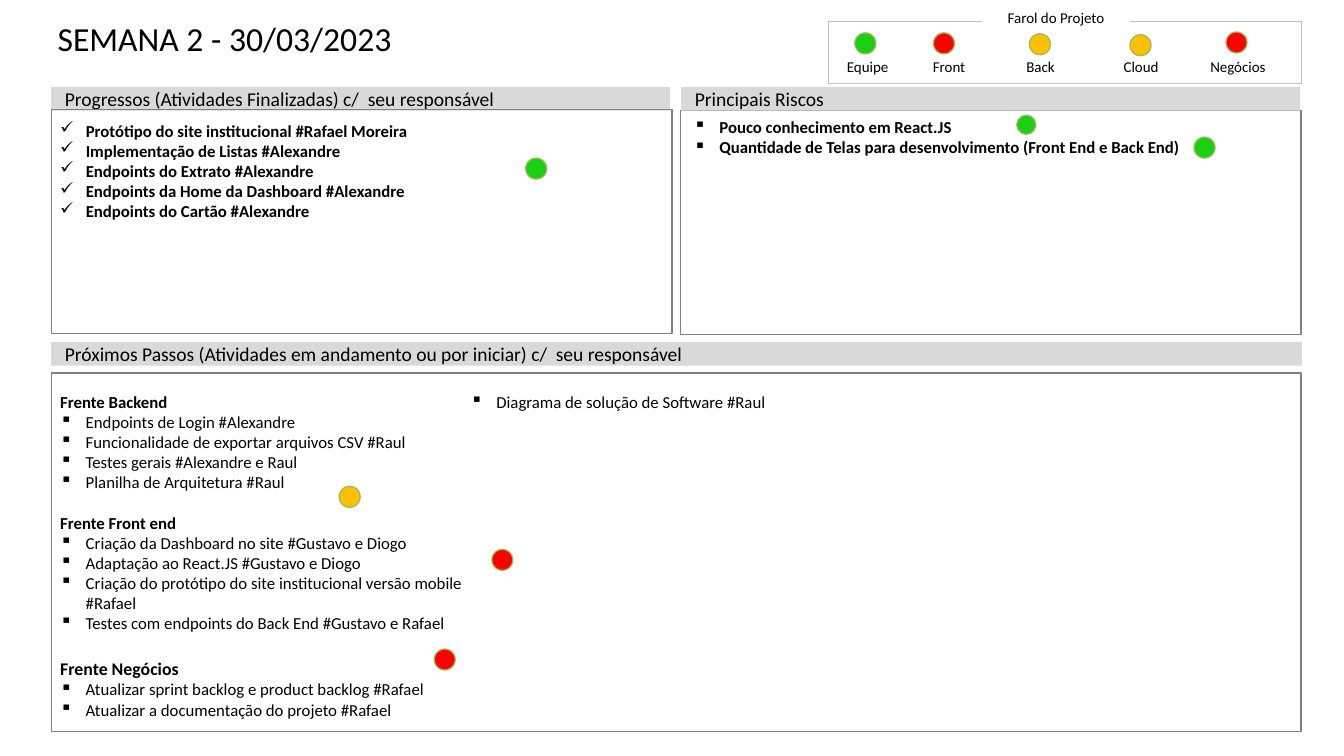
import dataclasses

import lxml.etree
import pptx
import pptx.dml.color
import pptx.enum.shapes
import pptx.enum.text
import pptx.oxml.ns
import pptx.util

Inches, Pt = pptx.util.Inches, pptx.util.Pt
ANCHOR = pptx.enum.text.MSO_ANCHOR
ALIGN = pptx.enum.text.PP_ALIGN
SHAPE = pptx.enum.shapes.MSO_SHAPE
qn = pptx.oxml.ns.qn


@dataclasses.dataclass(frozen=True)
class Theme:
    """Colours, font and type sizes of the report."""
    font: str = "Calibri"
    text: str = "000000"
    white: str = "FFFFFF"
    bar: str = "D9D9D9"
    frame: str = "808080"
    legend: str = "BFBFBF"
    dot_line: str = "9BBB59"
    green: str = "1BCF13"
    amber: str = "FFC000"
    red: str = "FF0000"
    title_size: float = 26.5
    bar_size: float = 15.4
    group_size: float = 14
    body_size: float = 13.2
    label_size: float = 11.8


@dataclasses.dataclass
class Item:
    """One paragraph of a list."""
    text: str
    bullet: str = ""
    bold: bool = False
    size: float = Theme.body_size
    before: float = 0


def rgb(code):
    """Turn a hex code into a colour."""
    return pptx.dml.color.RGBColor.from_string(code)


class Report:
    """Draws the elements of a status report on one slide."""

    def __init__(self, s, theme):
        self.s, self.theme = s, theme

    def set_text(self, sp, items, insets, anchor=ANCHOR.TOP, align=ALIGN.LEFT, wrap=True):
        """Fill a shape with formatted paragraphs."""
        tf = sp.text_frame
        tf.auto_size = pptx.enum.text.MSO_AUTO_SIZE.NONE
        tf.word_wrap, tf.vertical_anchor = wrap, anchor
        tf.margin_left, tf.margin_top, tf.margin_right, tf.margin_bottom = map(Inches, insets)
        tf.text = "\n".join(item.text for item in items)
        for p, item in zip(tf.paragraphs, items):
            p.alignment, p.space_before = align, Pt(item.before)
            font = p.runs[0].font
            font.name, font.size, font.bold = self.theme.font, Pt(item.size), item.bold
            font.color.rgb = rgb(self.theme.text)
            if item.bullet:
                pPr = p._p.get_or_add_pPr()
                pPr.set("marL", str(Inches(0.28)))
                pPr.set("indent", str(-Inches(0.28)))
                lxml.etree.SubElement(pPr, qn("a:buChar")).set("char", item.bullet)

    def title(self, text, box):
        """Place and format the title placeholder."""
        sp = self.s.shapes.title
        sp.left, sp.top, sp.width, sp.height = map(Inches, box)
        self.set_text(sp, [Item(text, size=self.theme.title_size)], (0.12, 0, 0.12, 0))

    def shape(self, box, fill=None, line=None, width=1, kind=SHAPE.RECTANGLE):
        """Add a preset shape with the given fill and outline."""
        sp = self.s.shapes.add_shape(kind, *map(Inches, box))
        sp.shadow.inherit = False
        if fill:
            sp.fill.solid()
            sp.fill.fore_color.rgb = rgb(fill)
        else:
            sp.fill.background()
        if line:
            sp.line.color.rgb = rgb(line)
            sp.line.width = Pt(width)
        else:
            sp.line.fill.background()
        return sp

    def dot(self, left, top, color, size=0.23):
        """Add a status light."""
        self.shape((left, top, size, size), color, self.theme.dot_line, kind=SHAPE.OVAL)

    def bar(self, text, left, top, width):
        """Add a grey section heading."""
        sp = self.shape((left, top, width, 0.26), self.theme.bar)
        self.set_text(sp, [Item(text, size=self.theme.bar_size)],
                      (0.15, 0.07, 0.15, 0.07), ANCHOR.MIDDLE)

    def panel(self, box, items=(), anchor=ANCHOR.TOP, columns=1):
        """Add a framed area, with its list if there is one."""
        sp = self.shape(box, line=self.theme.frame)
        if items:
            self.set_text(sp, items, (0.1, 0.12, 0.1, 0.05), anchor)
        if columns > 1:
            sp.text_frame._txBody.bodyPr.set("numCol", str(columns))

    def text(self, items, box):
        """Add a free text box holding a list."""
        sp = self.s.shapes.add_textbox(*map(Inches, box))
        self.set_text(sp, items, (0.1, 0.05, 0.1, 0.05))

    def label(self, text, box, fill=None):
        """Add a small centred caption, on a plate if a fill is given."""
        sp = self.shape(box, fill) if fill else self.s.shapes.add_textbox(*map(Inches, box))
        self.set_text(sp, [Item(text, size=self.theme.label_size)],
                      (0.06, 0.06, 0.06, 0), ANCHOR.BOTTOM, ALIGN.CENTER, False)


theme = Theme()
CHECK, SQUARE = "✓", "▪"
LEFT, RIGHT = 0.56, 7.45

DONE = ["Protótipo do site institucional #Rafael Moreira", "Implementação de Listas #Alexandre",
        "Endpoints do Extrato #Alexandre", "Endpoints da Home da Dashboard #Alexandre",
        "Endpoints do Cartão #Alexandre"]
RISKS = ["Pouco conhecimento em React.JS",
         "Quantidade de Telas para desenvolvimento (Front End e Back End)"]
# Heading, its size, the gap above it in points, and its tasks
FRONTS = [
    ("Frente Backend", theme.body_size, 0,
     ["Endpoints de Login #Alexandre", "Funcionalidade de exportar arquivos CSV #Raul",
      "Testes gerais #Alexandre e Raul", "Planilha de Arquitetura #Raul"]),
    ("Frente Front end", theme.body_size, 16.1,
     ["Criação da Dashboard no site #Gustavo e Diogo", "Adaptação ao React.JS #Gustavo e Diogo",
      "Criação do protótipo do site institucional versão mobile #Rafael",
      "Testes com endpoints do Back End #Gustavo e Rafael"]),
    ("Frente Negócios", theme.group_size, 19.5,
     ["Atualizar sprint backlog e product backlog #Rafael",
      "Atualizar a documentação do projeto #Rafael", "Diagrama de solução de Software #Raul"]),
]
# Caption, its left edge, then the light's position and colour
LIGHTS = [("Equipe", 9, 9.35, 0.36, theme.green), ("Front", 9.89, 10.21, 0.36, theme.red),
          ("Back", 10.89, 11.26, 0.37, theme.amber), ("Cloud", 11.99, 12.36, 0.38, theme.amber),
          ("Negócios", 13.05, 13.41, 0.35, theme.red)]
SECTION_DOTS = [(11.12, 1.26, theme.green, 0.21), (13.06, 1.5, theme.green),
                (3.71, 5.32, theme.amber), (5.38, 6.01, theme.red),
                (4.75, 7.1, theme.red), (5.75, 1.73, theme.green)]

prs = pptx.Presentation()
prs.slide_width, prs.slide_height = Inches(14.7), Inches(8.27)
report = Report(prs.slides.add_slide(prs.slide_layouts[5]), theme)

report.title("SEMANA 2 - 30/03/2023", (0.51, 0.2, 5.24, 0.88))

report.panel((7.44, 1.21, 6.79, 2.45))
report.bar("Progressos (Atividades Finalizadas) c/  seu responsável", LEFT, 0.95, 6.77)
report.bar("Principais Riscos", RIGHT, 0.95, 6.77)
report.bar("Próximos Passos (Atividades em andamento ou por iniciar) c/  seu responsável",
           LEFT, 3.74, 13.68)
report.panel((LEFT, 1.2, 6.79, 2.45), [Item(text, CHECK, True) for text in DONE])
report.text([Item(text, SQUARE, True) for text in RISKS], (7.49, 1.23, 6.74, 0.77))

steps = []
for heading, size, gap, tasks in FRONTS:
    steps.append(Item(heading, bold=True, size=size, before=gap))
    steps += [Item(task, SQUARE) for task in tasks]
report.panel((LEFT, 4.08, 13.67, 3.92), steps, ANCHOR.MIDDLE, columns=3)

report.shape((9.06, 0.23, 5.17, 0.68), line=theme.legend, width=0.5)
report.label("Farol do Projeto", (10.74, 0.06, 1.62, 0.23), theme.white)
for caption, caption_left, left, top, color in LIGHTS:
    report.label(caption, (caption_left, 0.63, 0.98, 0.2))
    report.dot(left, top, color)
for dot in SECTION_DOTS:
    report.dot(*dot)

prs.save("out.pptx")
